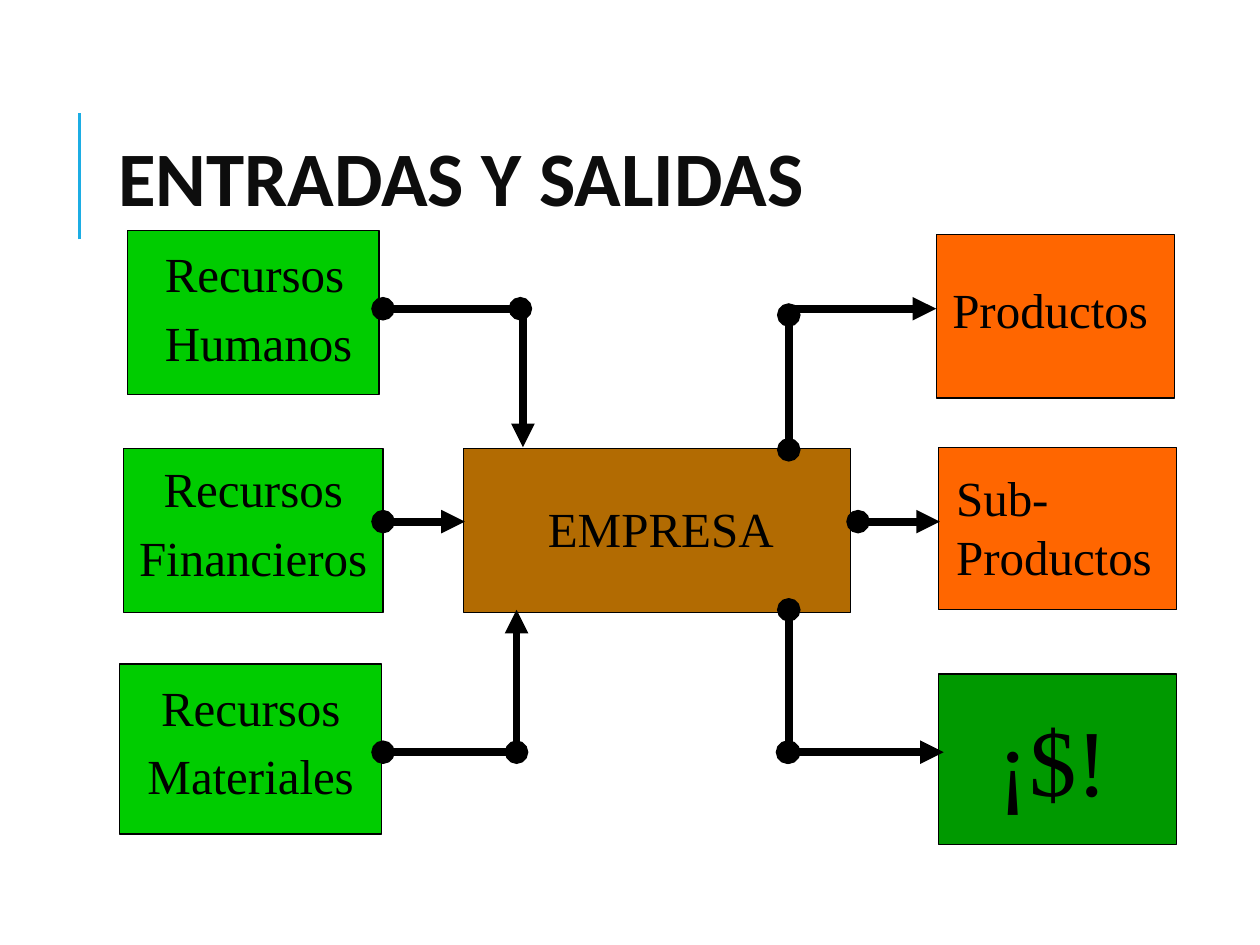
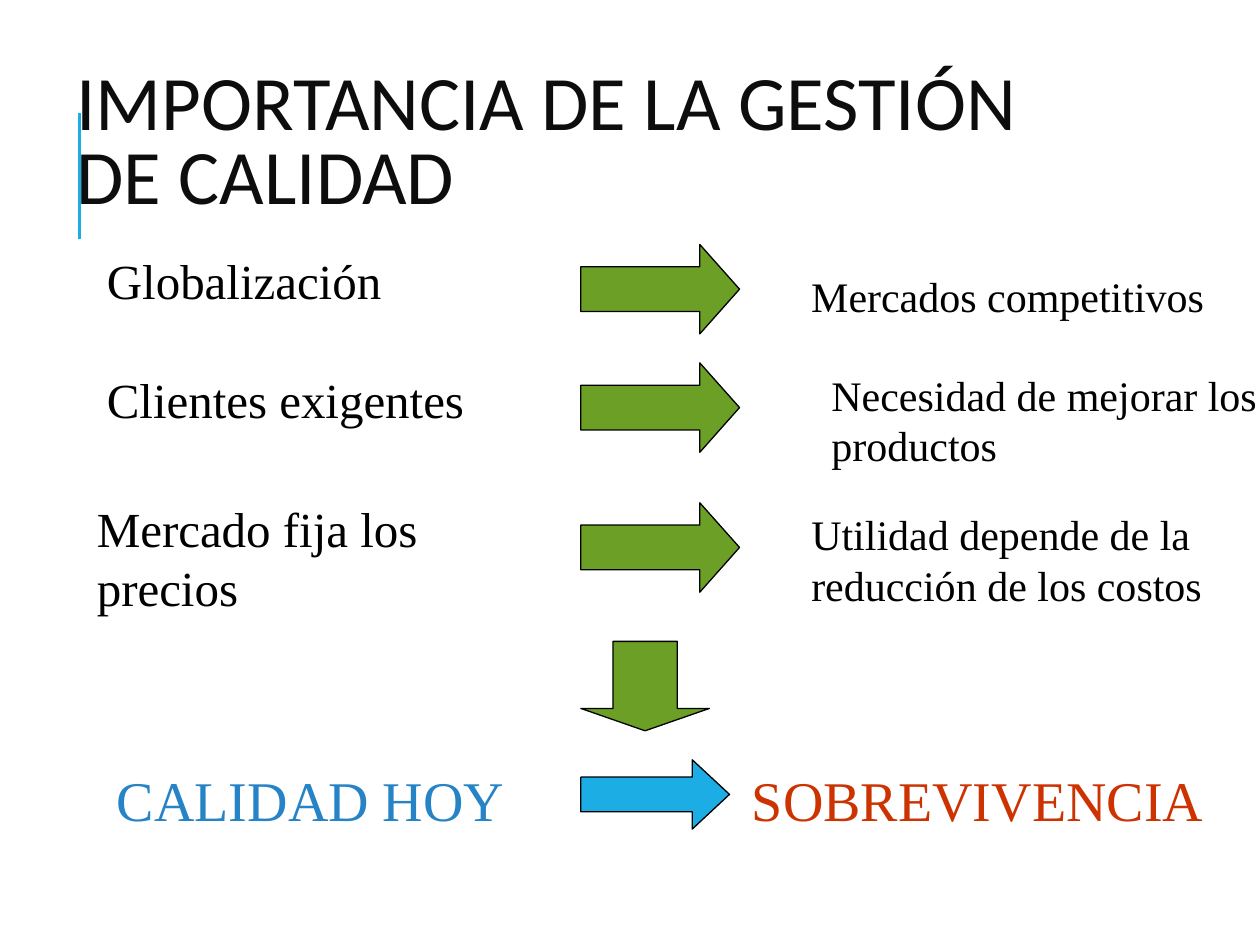
"""Builds two slides: company inputs and outputs, and the importance of quality management."""
from lxml.etree import SubElement
from pptx import Presentation
from pptx.dml.color import RGBColor
from pptx.enum.shapes import MSO_CONNECTOR, MSO_SHAPE
from pptx.enum.text import MSO_ANCHOR, PP_ALIGN
from pptx.oxml.ns import qn
from pptx.util import Inches, Pt

COLORS = {
    "black": "000000", "title": "0D0D0D", "accent": "1CADE4",
    "input": "00CC00", "company": "B26B02", "output": "FF6600", "money": "009900",
    "arrow": "6B9F25", "today": "2683C6", "survival": "CC3300",
}
RGB = {name: RGBColor.from_string(value) for name, value in COLORS.items()}
THIN = Pt(0.74)


def add_text(s, text, at, sp=None, size=28, color="black", font="Times New Roman",
             bold=False, align=PP_ALIGN.LEFT, anchor=MSO_ANCHOR.TOP,
             spacing=1.0, before=None, wrap=True):
    sp = sp or s.shapes.add_textbox(*map(Inches, at))
    tf = sp.text_frame
    tf.word_wrap = wrap
    tf.vertical_anchor = anchor
    for i, line in enumerate(text.split("\n")):
        p = tf.paragraphs[0] if i == 0 else tf.add_paragraph()
        p.alignment = align
        p.line_spacing = spacing
        p.space_before = Pt(size * 0.625 if before is None else before)
        r = p.add_run()
        r.text = line
        r.font.name = font
        r.font.size = Pt(size)
        r.font.bold = bold
        r.font.color.rgb = RGB[color]


def add_shape(s, kind, at, fill, line=True):
    sp = s.shapes.add_shape(kind, *map(Inches, at))
    sp.shadow.inherit = False
    sp.fill.solid()
    sp.fill.fore_color.rgb = RGB[fill]
    if line:
        sp.line.color.rgb = RGB["black"]
        sp.line.width = THIN
    else:
        sp.line.fill.background()
    return sp


prs = Presentation()
prs.slide_width, prs.slide_height = Inches(10), Inches(7.5)

flow_lines = [
    (3.04, 2.45, 4.13, 2.45, "oval", "oval"),
    (3.04, 5.97, 4.1, 5.97, "oval", "oval"),
    (4.1, 5.97, 4.1, 4.84, None, "triangle"),
    (3.04, 4.14, 3.69, 4.14, "oval", "triangle"),
    (4.15, 2.48, 4.15, 3.55, None, "triangle"),
    (6.26, 2.5, 6.26, 3.57, "oval", "oval"),
    (6.26, 5.97, 6.26, 4.84, "oval", "oval"),
    (6.25, 5.97, 7.49, 5.97, "oval", "triangle"),
    (6.22, 2.45, 7.43, 2.45, None, "triangle"),
    (6.81, 4.14, 7.46, 4.14, "oval", "triangle"),
]
pages = [
    ("ENTRADAS Y SALIDAS", (0.84, 0.64, 7.97, 1.64), True, flow_lines),
    ("IMPORTANCIA DE LA GESTIÓN DE CALIDAD", (0.51, 0.44, 8.25, 1.42), False, []),
]
slides = []
for title, at, bold, lines in pages:
    s = prs.slides.add_slide(prs.slide_layouts[6])
    slides.append(s)
    title_bar = (0.63, 1.9, 0.63, 0.9, None, None)
    for x1, y1, x2, y2, head, tail in [title_bar] + lines:
        cx = s.shapes.add_connector(MSO_CONNECTOR.STRAIGHT, *map(Inches, (x1, y1, x2, y2)))
        cx.line.color.rgb = RGB["black" if tail else "accent"]
        cx.line.width = Pt(4.51 if tail else 1.5)
        ln = cx.line._get_or_add_ln()
        for tag, end in (("a:headEnd", head), ("a:tailEnd", tail)):
            if end:
                SubElement(ln, qn(tag)).set("type", end)
        SubElement(cx._element.spPr, qn("a:effectLst"))
    add_text(s, title, at, size=44, color="title", font="Calibri", bold=bold,
             anchor=MSO_ANCHOR.MIDDLE, spacing=0.8, before=0)

flow, quality = slides
flow_ends = list(flow.shapes)[1:-1]

boxes = [
    ((1.01, 1.83, 2, 1.3), "input", None),
    ((0.98, 3.56, 2.06, 1.3), "input", "Recursos\nFinancieros"),
    ((0.95, 5.27, 2.08, 1.35), "input", "Recursos\nMateriales"),
    ((3.68, 3.56, 3.07, 1.3), "company", None),
    ((7.43, 1.86, 1.89, 1.3), "output", None),
    ((7.45, 3.55, 1.89, 1.29), "output", None),
    ((7.45, 5.35, 1.89, 1.35), "money", None),
]
for at, fill, text in boxes:
    sp = add_shape(flow, MSO_SHAPE.RECTANGLE, at, fill)
    if text:
        add_text(flow, text, at, sp=sp, align=PP_ALIGN.CENTER,
                 anchor=MSO_ANCHOR.MIDDLE, spacing=0.65, wrap=False)

add_text(flow, "EMPRESA", (4.25, 3.91, 2.19, 0.57))
add_text(flow, "Recursos\nHumanos", (1.21, 2.03, 1.77, 0.95), spacing=0.65)
add_text(flow, "Productos", (7.46, 2.17, 2.03, 0.57))
at = (7.49, 3.66, 1.83, 1.04)
add_text(flow, "Sub-Productos", at,
         sp=add_shape(flow, MSO_SHAPE.RECTANGLE, at, "output", line=False))
add_text(flow, "¡$!", (7.82, 5.52, 1.29, 1), size=54)

for cx in flow_ends:
    flow.shapes._spTree.append(cx._element)

arrows = [(MSO_SHAPE.RIGHT_ARROW, (4.61, y, 1.26, 0.71), "arrow", 0.444)
          for y in (1.94, 2.88, 3.99)]
arrows += [
    (MSO_SHAPE.DOWN_ARROW, (4.61, 5.09, 1.02, 0.71), "arrow", 0.25),
    (MSO_SHAPE.RIGHT_ARROW, (4.61, 6.03, 1.18, 0.55), "accent", 0.537),
]
for kind, at, fill, head in arrows:
    sp = add_shape(quality, kind, at, fill)
    sp.adjustments[0], sp.adjustments[1] = 0.5, head

texts = [
    ("Globalización", (0.75, 1.94, 3.31, 0.57), 28, "black"),
    ("Mercados competitivos", (6.34, 2.1, 3.66, 0.5), 24, "black"),
    ("Clientes exigentes", (0.75, 2.88, 3.46, 0.57), 28, "black"),
    ("Necesidad de mejorar los productos", (6.5, 2.88, 3.82, 0.9), 24, "black"),
    ("Mercado fija los precios", (0.67, 3.91, 3.78, 1.04), 28, "black"),
    ("Utilidad depende de la reducción de los costos", (6.34, 3.99, 3.31, 0.9), 24, "black"),
    ("CALIDAD HOY", (0.83, 6.03, 3.31, 0.64), 32, "today"),
    ("SOBREVIVENCIA", (5.87, 6.03, 4.13, 0.64), 32, "survival"),
]
for text, at, size, color in texts:
    add_text(quality, text, at, size=size, color=color)

prs.save("out.pptx")
